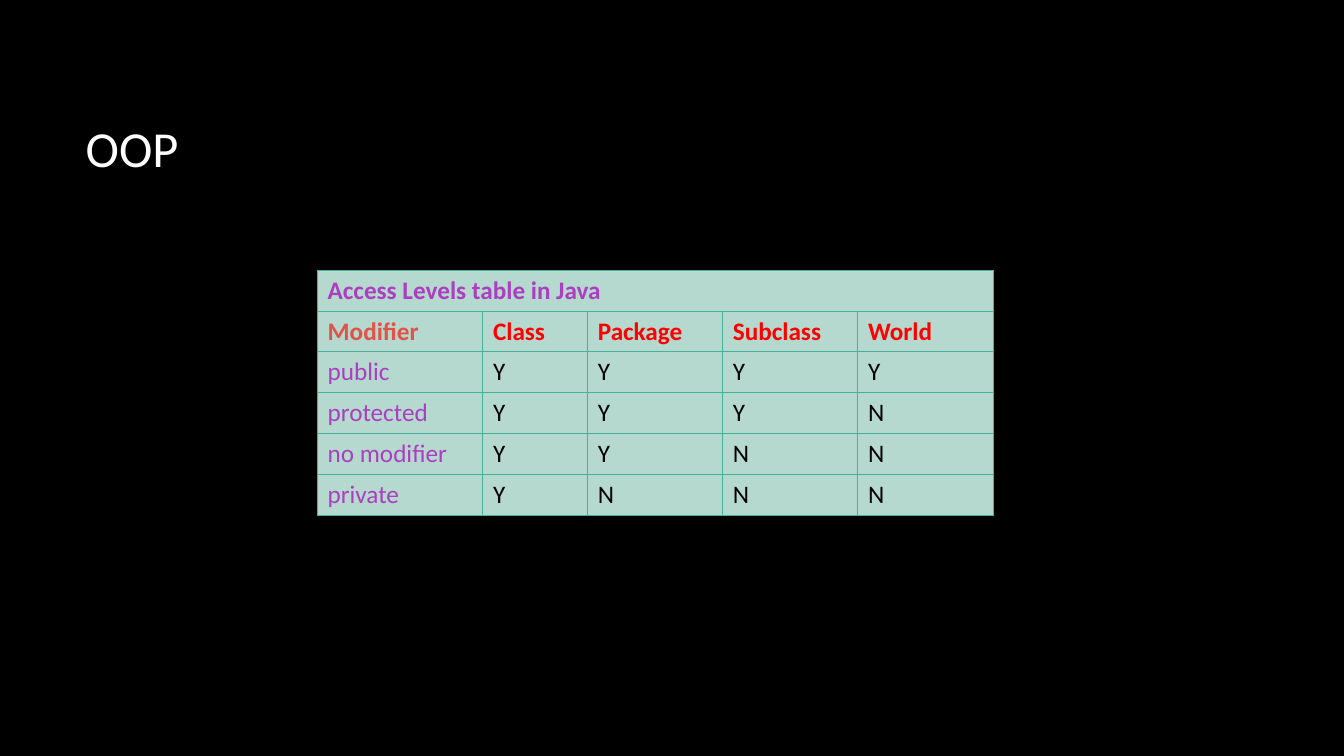
"""Build the OOP slide with the table of Java access levels."""
from dataclasses import dataclass

from lxml import etree
from pptx import Presentation
from pptx.dml.color import RGBColor
from pptx.enum.text import MSO_ANCHOR, PP_ALIGN
from pptx.oxml.ns import qn
from pptx.slide import Slide
from pptx.table import _Cell
from pptx.util import Inches, Pt

MIDDLE = MSO_ANCHOR.MIDDLE
LEFT = PP_ALIGN.LEFT

BLACK = RGBColor(0x00, 0x00, 0x00)
WHITE = RGBColor(0xFF, 0xFF, 0xFF)
PURPLE = RGBColor(0xAC, 0x3E, 0xC1)
CORAL = RGBColor(0xE2, 0x52, 0x47)
RED = RGBColor(0xFF, 0x00, 0x00)
MINT = RGBColor(0xB5, 0xD9, 0xCE)
GREEN = RGBColor(0x46, 0xB2, 0x98)

FONT_NAME = "Calibri"
TITLE_ONLY_LAYOUT = 5
BORDER_WIDTH = Pt(0.75)
ROW_HEIGHT = Inches(0.4)
COLUMN_WIDTHS = [Inches(width) for width in (1.64, 1.04, 1.34, 1.34, 1.34)]


@dataclass(frozen=True)
class TableRow:
    """Texts of one row, with the colours of its first and other cells."""

    texts: tuple[str, ...]
    first_color: RGBColor = PURPLE
    other_color: RGBColor = BLACK
    bold: bool = False


ACCESS_ROWS = (
    TableRow(("Access Levels table in Java",), bold=True),
    TableRow(("Modifier", "Class", "Package", "Subclass", "World"), CORAL, RED, True),
    TableRow(("public", "Y", "Y", "Y", "Y")),
    TableRow(("protected", "Y", "Y", "Y", "N")),
    TableRow(("no modifier", "Y", "Y", "N", "N")),
    TableRow(("private", "Y", "N", "N", "N")),
)


def add_title(slide: Slide, text: str) -> None:
    """Place and format the slide title."""
    title = slide.shapes.title
    title.left, title.top = Inches(0.75), Inches(0.67)
    title.width, title.height = Inches(11.08), Inches(1.59)
    title.text_frame.text = text
    title.text_frame.vertical_anchor = MIDDLE
    paragraph = title.text_frame.paragraphs[0]
    paragraph.alignment = LEFT
    paragraph.font.name = FONT_NAME
    paragraph.font.size = Pt(36)
    paragraph.font.color.rgb = WHITE


def style_cell(cell: _Cell) -> None:
    """Give a cell its borders, fill and anchor."""
    properties = cell._tc.get_or_add_tcPr()
    for side in ("L", "R", "T", "B"):
        line = etree.SubElement(properties, qn(f"a:ln{side}"), w=str(BORDER_WIDTH))
        line_fill = etree.SubElement(line, qn("a:solidFill"))
        etree.SubElement(line_fill, qn("a:srgbClr"), val=str(GREEN))
    cell.fill.solid()
    cell.fill.fore_color.rgb = MINT
    cell.vertical_anchor = MIDDLE


def write_cell(cell: _Cell, text: str, color: RGBColor, bold: bool) -> None:
    """Write formatted text into a cell."""
    cell.text = text
    paragraph = cell.text_frame.paragraphs[0]
    paragraph.font.name = FONT_NAME
    paragraph.font.size = Pt(18)
    paragraph.font.bold = bold
    paragraph.font.color.rgb = color


def add_access_table(slide: Slide, rows: tuple[TableRow, ...]) -> None:
    """Add the access table, its caption spanning the first row."""
    table = slide.shapes.add_table(
        len(rows), len(COLUMN_WIDTHS), Inches(3.15), Inches(2.68),
        sum(COLUMN_WIDTHS), ROW_HEIGHT * len(rows),
    ).table
    for column, width in zip(table.columns, COLUMN_WIDTHS):
        column.width = width
    for cell in table.iter_cells():
        style_cell(cell)
    table.cell(0, 0).merge(table.cell(0, len(COLUMN_WIDTHS) - 1))
    for row_index, row in enumerate(rows):
        for column_index, text in enumerate(row.texts):
            color = row.other_color if column_index else row.first_color
            write_cell(table.cell(row_index, column_index), text, color, row.bold)


def main() -> None:
    """Create and save the presentation."""
    presentation = Presentation()
    presentation.slide_width = Inches(13.33)
    presentation.slide_height = Inches(7.5)
    slide = presentation.slides.add_slide(presentation.slide_layouts[TITLE_ONLY_LAYOUT])
    slide.background.fill.solid()
    slide.background.fill.fore_color.rgb = BLACK
    add_title(slide, "OOP")
    add_access_table(slide, ACCESS_ROWS)
    presentation.save("out.pptx")


main()
